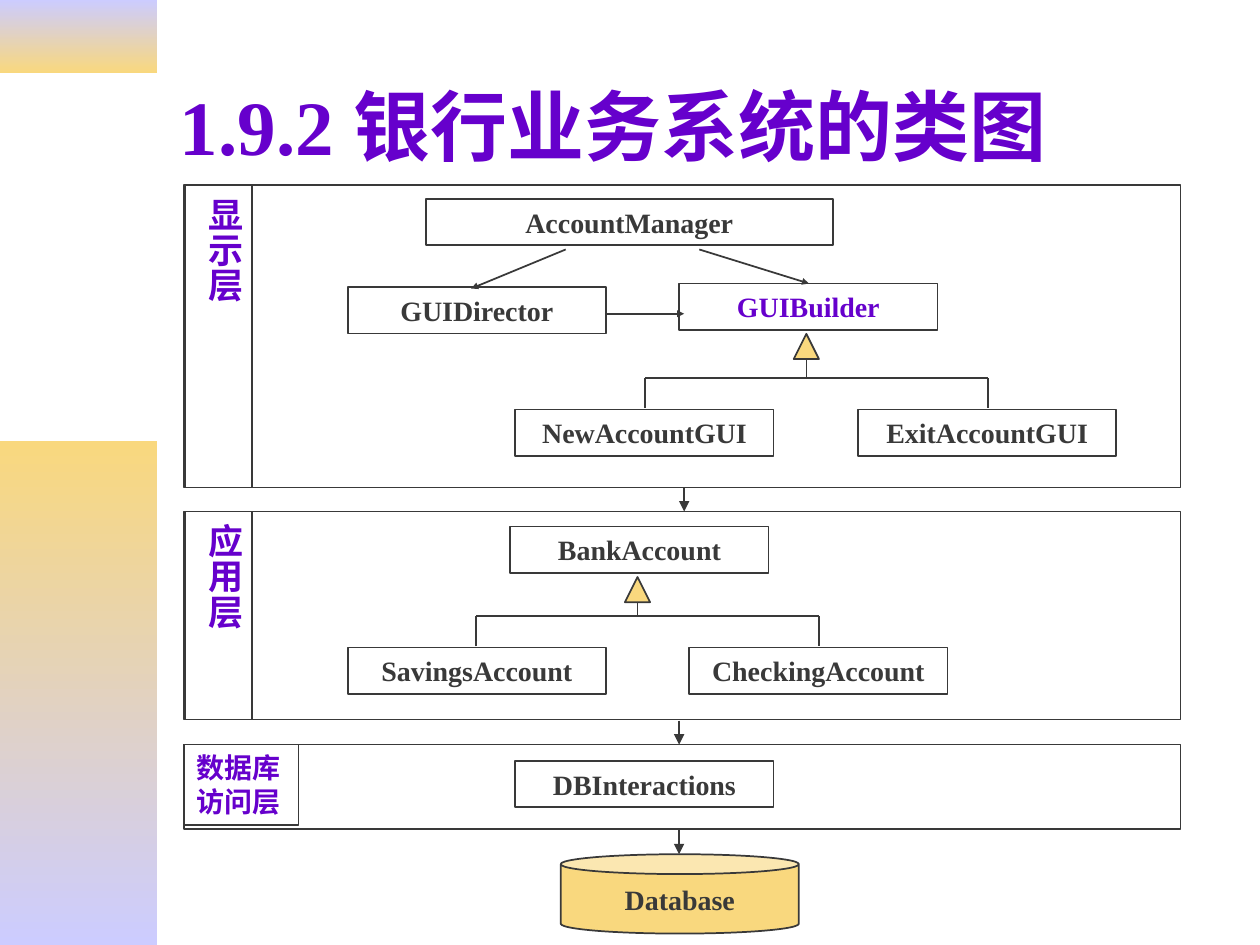
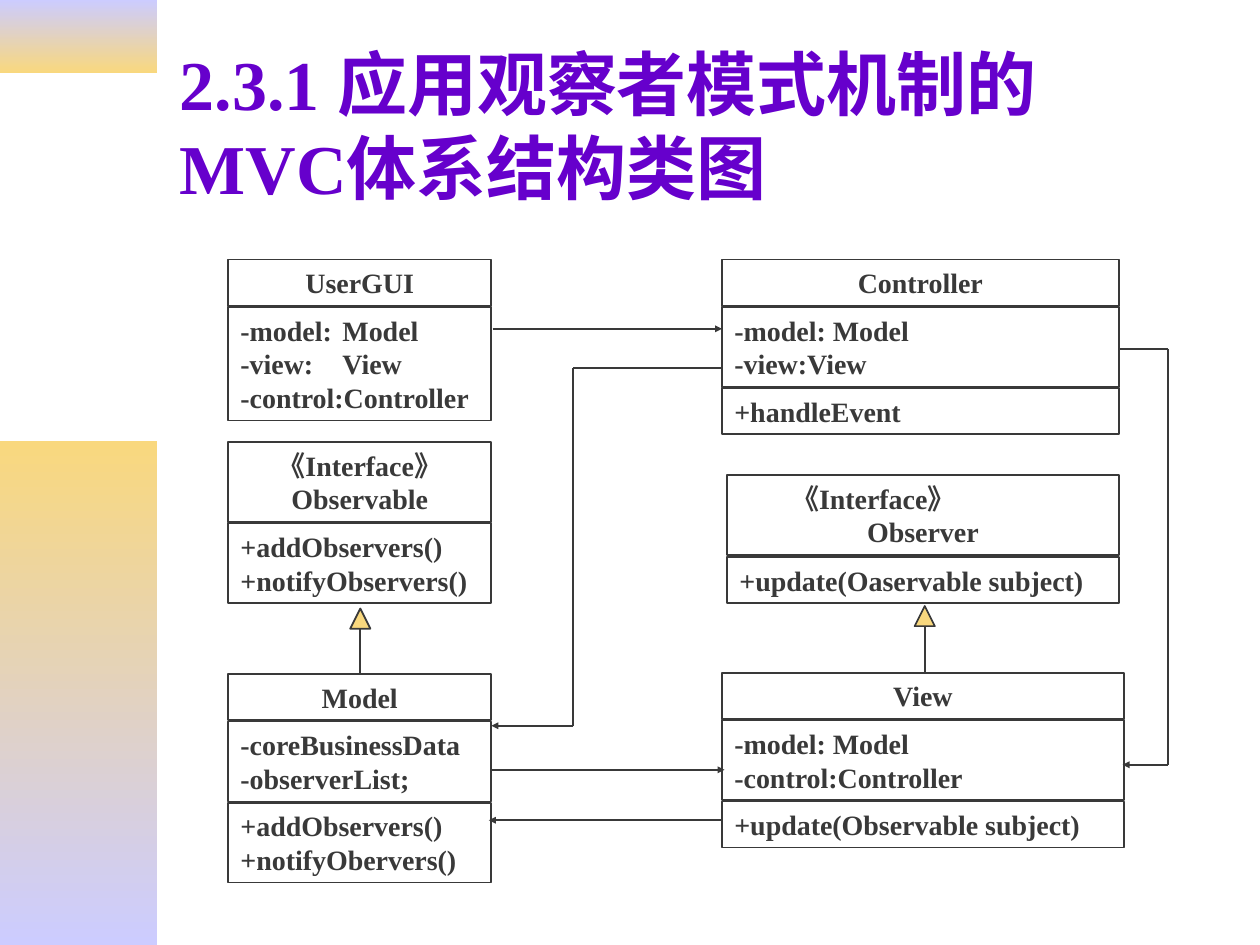
from itertools import pairwise

from lxml import etree
from pptx import Presentation
from pptx.dml.color import RGBColor
from pptx.enum.shapes import MSO_CONNECTOR as Link, MSO_SHAPE as Shape
from pptx.enum.text import MSO_ANCHOR as Anchor, PP_ALIGN as Align
from pptx.oxml.ns import qn
from pptx.util import Inches, Pt

COLORS = {"ink": "393939", "accent": "6600CC", "gold": "F9D87E", "lilac": "CCCCFF"}
FONT = "Times New Roman"

# Grid: 100 columns by 75 rows of equal square cells
SLIDE_W, SLIDE_H = Inches(10), Inches(7.5)
CELL = SLIDE_W // 100
LINE_ROWS, PADDING_ROWS, SEAM = 2.67, 1.0, 0.1


def cells(*counts):
    return [round(count * CELL) for count in counts]


def color(name):
    return RGBColor.from_string(COLORS[name])


def rows_for(lines):
    return PADDING_ROWS + LINE_ROWS * len(lines)


# Text
def write(frame, lines, size=16, ink="ink", align=Align.CENTER):
    for index, line in enumerate(lines):
        paragraph = frame.paragraphs[0] if index == 0 else frame.add_paragraph()
        paragraph.alignment = align
        run = paragraph.add_run()
        run.text = line
        run.font.name, run.font.size, run.font.bold = FONT, Pt(size), True
        run.font.color.rgb = color(ink)


def add_title(slide, lines, size):
    title = slide.shapes.add_textbox(*cells(13.3, 3.3, 85, 13.2)).text_frame
    title.word_wrap = True
    title.vertical_anchor = Anchor.MIDDLE
    write(title, lines, size, "accent", Align.LEFT)


# Outlined shapes and lines
def add_outline(slide, kind, at, fill=None):
    shape = slide.shapes.add_shape(kind, *cells(*at))
    shape.shadow.inherit = False
    shape.line.color.rgb = color("ink")
    shape.line.width = Pt(1)
    if fill:
        shape.fill.solid()
        shape.fill.fore_color.rgb = color(fill)
    else:
        shape.fill.background()
    return shape


def add_box(slide, left, top, width, lines, ink="ink", align=Align.CENTER):
    box = add_outline(slide, Shape.RECTANGLE, (left, top, width, rows_for(lines)))
    box.text_frame.word_wrap = True
    box.text_frame.vertical_anchor = Anchor.TOP
    write(box.text_frame, lines, ink=ink, align=align)
    return box


def add_route(slide, *points, arrow=None):
    """Join the points with straight lines; arrow is the size of the last head."""
    for start, end in pairwise(points):
        link = slide.shapes.add_connector(Link.STRAIGHT, *cells(*start, *end))
        link.line.color.rgb = color("ink")
        link.line.width = Pt(1)
        properties = link._element.spPr
        if arrow and end == points[-1]:
            head = etree.SubElement(link.line._get_or_add_ln(), qn("a:tailEnd"))
            for key, value in (("type", "triangle"), ("w", arrow), ("len", arrow)):
                head.set(key, value)
        etree.SubElement(properties, qn("a:effectLst"))


# UML parts
def add_inheritance(slide, x, top, size, foot, children=(), child_top=None):
    add_outline(slide, Shape.ISOSCELES_TRIANGLE,
                (x - size / 2, top, size, size), "gold")
    add_route(slide, (x, top + size), (x, foot))
    if children:
        first, last = children
        add_route(slide, (first, child_top), (first, foot), (last, foot), (last, child_top))


def add_class(slide, left, top, width, name, *compartments):
    add_box(slide, left, top, width, name)
    top += rows_for(name) + SEAM
    for members in compartments:
        box = add_box(slide, left, top, width, members, align=Align.LEFT)
        top += rows_for(members) + SEAM
    return box


def add_layer(slide, top, height):
    add_outline(slide, Shape.RECTANGLE, (14.6, top, 79.1, height))


def add_upright_label(slide, text, top, height):
    label = add_outline(slide, Shape.RECTANGLE, (14.7, top, 5.3, height)).text_frame
    label.word_wrap = True
    label.vertical_anchor = Anchor.TOP
    label.margin_left = label.margin_right = Inches(0.05)
    label.margin_top = label.margin_bottom = Inches(0.1)
    label._txBody.bodyPr.set("vert", "eaVert")
    write(label, [text], 20, "accent")


# Shared side bands
def add_side_bands(slide):
    bands = ((0, 5.8, "lilac", "gold"), (35, 40, "gold", "lilac"))
    for top, height, upper, lower in bands:
        band = slide.shapes.add_shape(Shape.RECTANGLE, *cells(0, top, 12.5, height))
        band.shadow.inherit = False
        band.line.fill.background()
        band.fill.gradient()
        band.fill.gradient_angle = 270
        for stop, name, position in zip(band.fill.gradient_stops, (upper, lower), (0, 1)):
            stop.color.rgb = color(name)
            stop.position = position


def add_slide(deck, title, size):
    slide = deck.slides.add_slide(deck.slide_layouts[6])
    add_side_bands(slide)
    add_title(slide, title, size)
    return slide


def build_bank_diagram(deck):
    slide = add_slide(deck, ["1.9.2 银行业务系统的类图"], 44)

    # Layers, with arrows leading down to the database
    layers = ((14.7, 24), (40.6, 16.5), (59.1, 6.7))
    for top, height in layers:
        add_layer(slide, top, height)
    for name, (top, height) in zip(("显示层", "应用层"), layers):
        add_upright_label(slide, name, top, height)
    access = add_outline(slide, Shape.RECTANGLE, (14.6, 59.1, 9.1, 6.4)).text_frame
    access.word_wrap = True
    access.vertical_anchor = Anchor.TOP
    write(access, ["数据库访问层"], ink="accent", align=Align.LEFT)
    for x, top in ((54.3, 38.7), (53.9, 57.2), (53.9, 65.9)):
        add_route(slide, (x, top), (x, top + 1.9), arrow="med")

    # Classes
    add_box(slide, 33.8, 15.8, 32.3, ["AccountManager"])
    add_box(slide, 53.9, 22.5, 20.5, ["GUIBuilder"], "accent")
    classes = (
        ("GUIDirector", 27.6, 22.8),
        ("NewAccountGUI", 40.9, 32.5),
        ("ExitAccountGUI", 68.1, 32.5),
        ("BankAccount", 40.5, 41.8),
        ("SavingsAccount", 27.6, 51.4),
        ("CheckingAccount", 54.7, 51.4),
        ("DBInteractions", 40.9, 60.4),
    )
    for name, left, top in classes:
        add_box(slide, left, top, 20.5, [name])
    database = add_outline(slide, Shape.CAN, (44.5, 67.8, 18.9, 6.3), "gold").text_frame
    database.word_wrap = False
    database.vertical_anchor = Anchor.MIDDLE
    write(database, ["Database"])

    # Relations
    add_inheritance(slide, 64, 26.5, 2, 30, (51.2, 78.4), 32.4)
    add_inheritance(slide, 50.6, 45.8, 2, 48.9, (37.8, 65), 51.3)
    add_route(slide, (44.9, 19.8), (37.4, 22.9), arrow="sm")
    add_route(slide, (55.5, 19.8), (64.2, 22.5), arrow="sm")
    add_route(slide, (48, 24.9), (54.3, 24.9), arrow="sm")


def build_mvc_diagram(deck):
    slide = add_slide(deck, ["2.3.1 应用观察者模式机制的", "MVC体系结构类图"], 40)

    # Left column of classes
    left, width = 18.1, 20.9
    fields = add_class(slide, left, 20.6, width, ["UserGUI"],
                       ["-model:\tModel", "-view:\tView", "-control:Controller"])
    for paragraph in fields.text_frame.paragraphs[:2]:
        stops = etree.SubElement(paragraph._p.get_or_add_pPr(), qn("a:tabLst"))
        etree.SubElement(stops, qn("a:tab"), pos=str(Inches(0.81)), algn="l")
    add_class(slide, left, 35.1, width, ["《Interface》", "Observable"],
              ["+addObservers()", "+notifyObservers()"])
    add_class(slide, left, 53.5, width, ["Model"],
              ["-coreBusinessData", "-observerList;"],
              ["+addObservers()", "+notifyObervers()"])

    # Right column of classes
    add_class(slide, 57.3, 20.6, 31.5, ["Controller"],
              ["-model: Model", "-view:View"], ["+handleEvent"])
    observer = add_box(slide, 57.7, 37.7, 31.1, ["《Interface》", "Observer"])
    stereotype = observer.text_frame.paragraphs[0]
    stereotype.alignment = Align.LEFT
    stereotype._p.get_or_add_pPr().set("marL", str(Inches(0.41)))
    add_box(slide, 57.7, 44.2, 31.1, ["+update(Oaservable subject)"], align=Align.LEFT)
    add_class(slide, 57.3, 53.4, 31.9, ["View"],
              ["-model: Model", "-control:Controller"], ["+update(Observable subject)"])

    # Relations
    add_inheritance(slide, 28.6, 48.3, 1.6, 53.5)
    add_inheritance(slide, 73.4, 48.1, 1.6, 53.3)
    routes = (
        ((39.1, 26.1), (57.3, 26.1)),
        ((39, 61.1), (57.5, 61.1)),
        ((57.3, 65.1), (38.8, 65.1)),
        ((57.3, 29.2), (45.5, 29.2), (45.5, 57.6), (39, 57.6)),
        ((88.8, 27.7), (92.7, 27.7), (92.7, 60.7), (89.1, 60.7)),
    )
    for route in routes:
        add_route(slide, *route, arrow="sm")


def main():
    deck = Presentation()
    deck.slide_width, deck.slide_height = SLIDE_W, SLIDE_H
    build_bank_diagram(deck)
    build_mvc_diagram(deck)
    deck.save("out.pptx")


if __name__ == "__main__":
    main()
